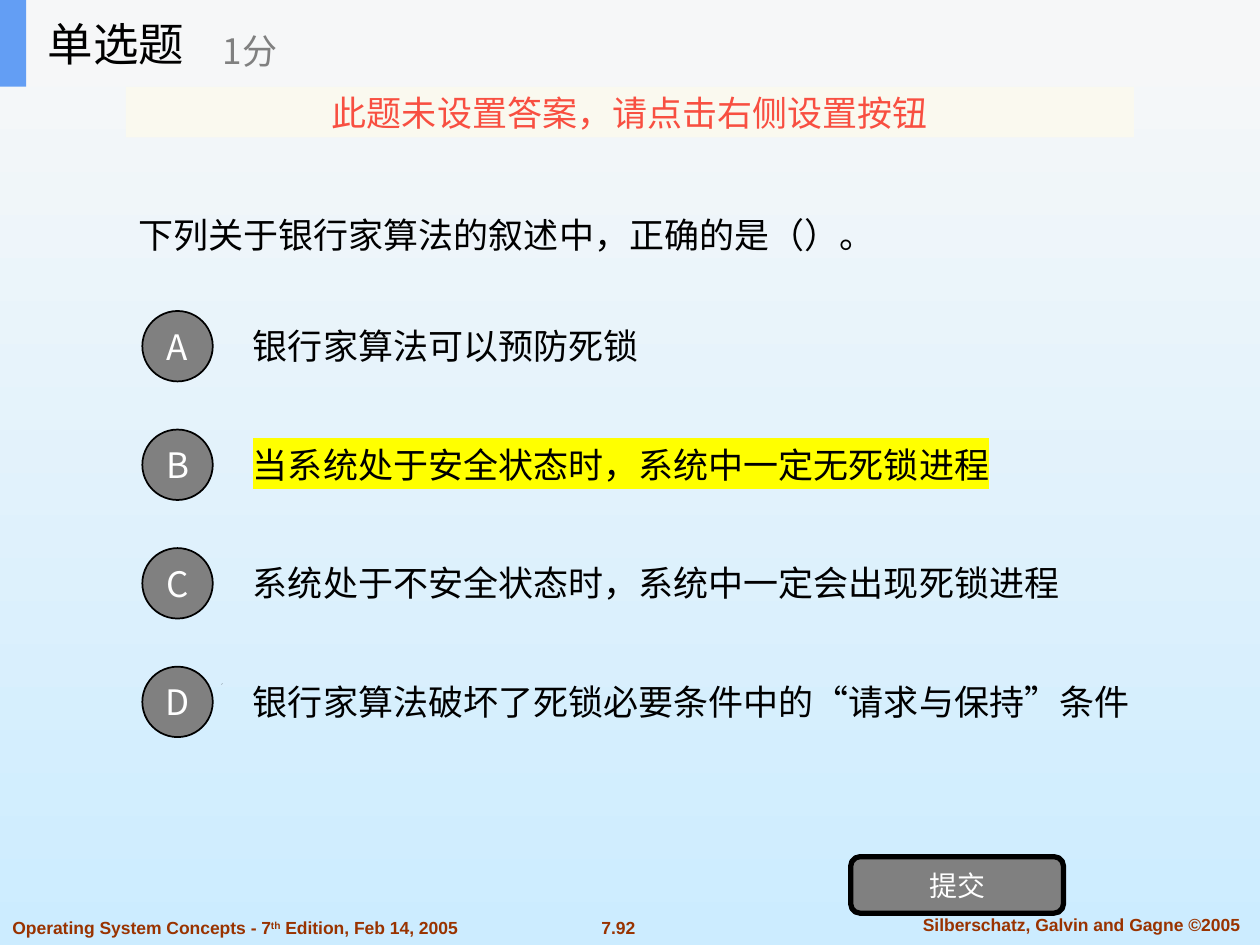
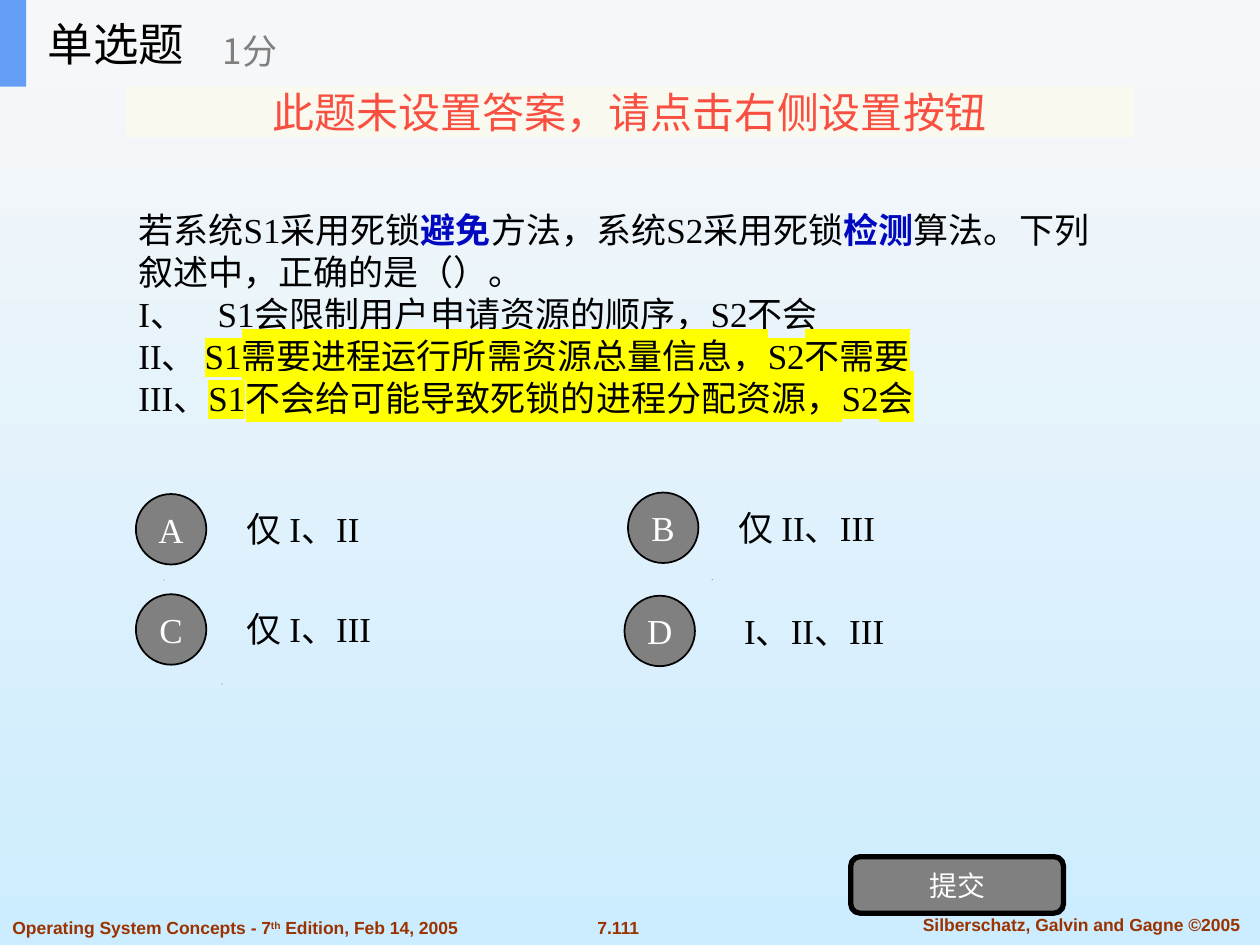
from lxml import etree
from pptx import Presentation
from pptx import util as u
from pptx.dml.color import RGBColor
from pptx.enum import shapes, text
from pptx.oxml import ns

BLACK = RGBColor(0x00, 0x00, 0x00)
WHITE = RGBColor(0xFF, 0xFF, 0xFF)
GRAY = RGBColor(0x80, 0x80, 0x80)
BLUE = RGBColor(0x63, 0x9E, 0xF4)
KEYWORD = RGBColor(0x00, 0x09, 0xC0)
RED = RGBColor(0xF8, 0x4F, 0x41)
BROWN = RGBColor(0x99, 0x33, 0x00)
HEADER = RGBColor(0xF6, 0xF7, 0xF8)
CREAM = RGBColor(0xFB, 0xFA, 0xEF)
SKY = (RGBColor(0xF8, 0xF8, 0xF8), RGBColor(0xCC, 0xEC, 0xFF))

SANS = "Noto Sans CJK SC"
SERIF = "Times New Roman"
ARIAL = "Arial"
LEFT, CENTER = text.PP_ALIGN.LEFT, text.PP_ALIGN.CENTER

MARKED = {"highlight": "FFFF00"}
KEY = {"color": KEYWORD}
RAISED = {"baseline": "30000"}


def child(parent, tag, **attributes):
    return etree.SubElement(parent, ns.qn(tag), attributes)


class QuizDeck:
    def __init__(self):
        self.deck = Presentation()
        self.deck.slide_width, self.deck.slide_height = u.Cm(25.4), u.Cm(19.05)
        self.page = None

    def new_page(self, number, notice_size, specks):
        self.page = self.deck.slides.add_slide(self.deck.slide_layouts[6])
        fill = self.page.background.fill
        fill.gradient()
        fill.gradient_angle = 270
        for stop, color, position in zip(fill.gradient_stops, SKY, (0, 1)):
            stop.color.rgb, stop.position = color, position
        for left, top in specks:
            self.speck(left, top)
        self.footer(number)
        self.header()
        self.notice(notice_size)

    def fill_text(self, frame, paragraphs, size, color, font=SANS, align=LEFT,
                  bold=False, spacing=None, tab=None):
        frame.vertical_anchor = text.MSO_ANCHOR.MIDDLE
        for index, parts in enumerate(paragraphs):
            para = frame.add_paragraph() if index else frame.paragraphs[0]
            para.alignment = align
            if spacing:
                para.line_spacing = u.Pt(spacing)
            if tab:
                stops = child(para._p.get_or_add_pPr(), "a:tabLst")
                child(stops, "a:tab", pos=str(u.Cm(tab)), algn="l")
            para.font.size, para.font.bold = u.Pt(size), bold
            para.font.color.rgb = color
            para.font.name = font
            child(para._p.pPr.find(ns.qn("a:defRPr")), "a:ea", typeface=SANS)
            for part in parts:
                words, style = part if isinstance(part, tuple) else (part, {})
                self.span(para, words, **style)

    def span(self, para, words, color=None, highlight=None, baseline=None):
        span = para.add_run()
        span.text = words
        properties = span._r.get_or_add_rPr()
        if color is not None:
            span.font.bold = True
            span.font.color.rgb = color
        if highlight:
            child(child(properties, "a:highlight"), "a:srgbClr", val=highlight)
        if baseline:
            properties.set("baseline", baseline)

    def text(self, place, paragraphs, size, color, wrap=True, **style):
        box = self.page.shapes.add_textbox(*map(u.Cm, place))
        box.text_frame.word_wrap = wrap
        self.fill_text(box.text_frame, paragraphs, size, color, **style)

    def shape(self, kind, place, fill, line=0):
        shape = self.page.shapes.add_shape(kind, *map(u.Cm, place))
        shape.shadow.inherit = False
        shape.fill.solid()
        shape.fill.fore_color.rgb = fill
        if line:
            shape.line.color.rgb = BLACK
            shape.line.width = u.Pt(line)
        else:
            shape.line.fill.background()
        frame = shape.text_frame
        frame.margin_left = frame.margin_right = 0
        frame.margin_top = frame.margin_bottom = 0
        return shape

    def speck(self, left, top):
        side = u.Cm(0.02)
        builder = self.page.shapes.build_freeform(u.Cm(left), u.Cm(top) + side)
        builder.add_line_segments([(u.Cm(left) + side, u.Cm(top)),
                                   (u.Cm(left), u.Cm(top) + side // 2)])
        speck = builder.convert_to_shape()
        speck.shadow.inherit = False
        speck.fill.solid()
        speck.fill.fore_color.rgb = BLACK
        speck.line.fill.background()

    def footer(self, number):
        style = {"size": 10, "color": BROWN, "font": ARIAL, "bold": True}
        self.text((0, 18.36, 10.64, 0.69),
                  [["Operating System Concepts - 7", ("th", RAISED),
                    " Edition, Feb 14, 2005"]], **style)
        self.text((11.79, 18.36, 1.35, 0.69), [[number]],
                  wrap=False, align=CENTER, **style)
        self.text((18.03, 18.29, 7.54, 0.69),
                  [["Silberschatz, Galvin and Gagne ©2005"]],
                  align=CENTER, **style)

    def header(self):
        bar = shapes.MSO_SHAPE.RECTANGLE
        self.shape(bar, (0, 0, 25.4, 1.75), HEADER)
        self.shape(bar, (0, 0, 0.53, 1.75), BLUE)
        self.text((0.71, 0, 5.28, 1.75), [["单选题"]], 26, BLACK)
        self.text((4.24, 0.3, 6.35, 1.42), [["1分"]], 20, GRAY)

    def notice(self, size):
        banner = self.shape(shapes.MSO_SHAPE.RECTANGLE,
                            (2.54, 1.75, 20.32, 1.02), CREAM)
        tint = banner._element.spPr.find(".//" + ns.qn("a:srgbClr"))
        child(tint, "a:alpha", val="90000")
        self.fill_text(banner.text_frame, [["此题未设置答案，请点击右侧设置按钮"]],
                       size, RED, align=CENTER)

    def question(self, top, paragraphs, **style):
        self.text((2.54, top, 20.32, 5.94), paragraphs, 20, BLACK, **style)

    def option(self, letter, answer, left, top, width, font=SANS, gap=1.98):
        self.text((left + gap, top - 0.19, width, 1.78), [[answer]],
                  20, BLACK, font=font)
        badge = self.shape(shapes.MSO_SHAPE.OVAL, (left, top, 1.42, 1.42), GRAY, 1)
        self.fill_text(badge.text_frame, [[letter]], 20, WHITE,
                       font=font, align=CENTER)

    def submit(self):
        button = self.shape(shapes.MSO_SHAPE.ROUNDED_RECTANGLE,
                            (17.15, 17.27, 4.29, 1.14), GRAY, 3)
        self.fill_text(button.text_frame, [["提交"]], 16, WHITE, align=CENTER)


def banker_page(quiz, specks):
    quiz.new_page("7.92", 20, specks)
    quiz.question(1.75, [["下列关于银行家算法的叙述中，正确的是（）。"]])
    answers = [
        ("银行家算法可以预防死锁", 17.78),
        (("当系统处于安全状态时，系统中一定无死锁进程", MARKED), 17.78),
        ("系统处于不安全状态时，系统中一定会出现死锁进程", 17.78),
        ("银行家算法破坏了死锁必要条件中的“请求与保持”条件", 19.08),
    ]
    for row, (answer, width) in enumerate(answers):
        quiz.option("ABCD"[row], answer, 2.87, 6.27 + 2.39 * row, width)
    quiz.submit()


def avoidance_page(quiz, specks):
    quiz.new_page("7.111", 24, specks)
    quiz.question(3.35, [
        ["若系统S1采用死锁", ("避免", KEY), "方法，系统S2采用死锁",
         ("检测", KEY), "算法。下列叙述中，正确的是（）。"],
        ["I、\tS1会限制用户申请资源的顺序，S2不会"],
        ["II、 ", ("S1需要进程运行所需资源总量信息，S2不需要", MARKED)],
        ["III、", ("S1不会给可能导致死锁的进程分配资源，S2会", MARKED)],
    ], font=SERIF, spacing=24, tab=1.6)
    answers = [
        ("A", "仅 I、II", 2.74, 9.96, 1.98),
        ("B", "仅 II、III", 12.66, 9.93, 1.98),
        ("C", "仅 I、III", 2.74, 11.98, 1.98),
        ("D", "I、II、III", 12.59, 12.01, 2.16),
    ]
    for letter, answer, left, top, gap in answers:
        quiz.option(letter, answer, left, top, 7.32, SERIF, gap)
    quiz.submit()


def main():
    quiz = QuizDeck()
    specks = [(4.47, 13.78), (3.3, 11.68), (14.35, 11.68)]
    banker_page(quiz, specks[:1])
    avoidance_page(quiz, specks)
    quiz.deck.save("out.pptx")


if __name__ == "__main__":
    main()
